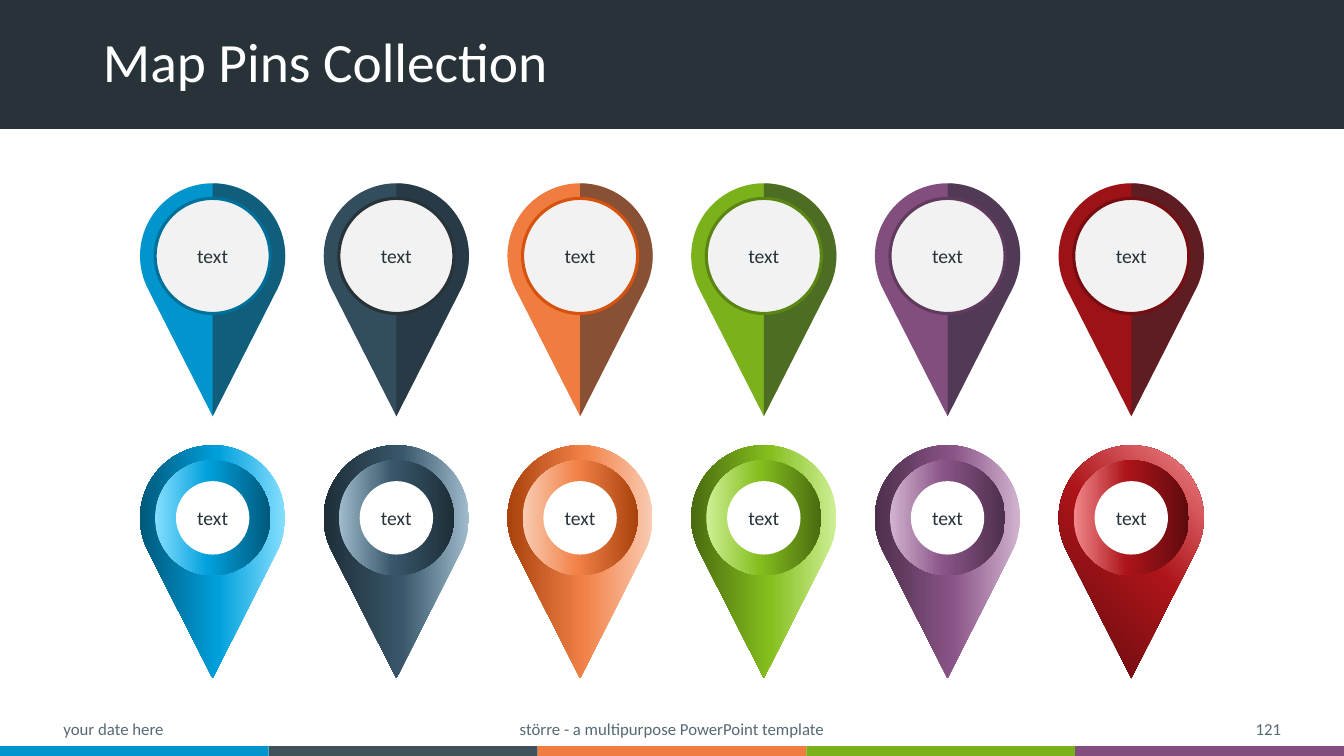
from math import asin, cos, degrees, pi, sin

from lxml.etree import SubElement
from pptx import Presentation
from pptx.dml.color import RGBColor
from pptx.enum.shapes import MSO_SHAPE
from pptx.enum.text import MSO_ANCHOR, MSO_AUTO_SIZE, PP_ALIGN
from pptx.oxml import parse_xml
from pptx.oxml.ns import nsdecls, qn
from pptx.util import Cm, Pt

FONT = "Calibri"
COLORS = {
    "dark": "273339", "white": "FFFFFF", "muted": "576973", "slate": "40515A",
    "disc": "F2F2F2", "shade": "20282D",
    "blue": "0095CD", "navy": "324D5E", "orange": "F17C3F",
    "green": "7BB21B", "purple": "814E7E", "red": "9D1217",
}
RIMS = {
    "blue": "00709A", "navy": "273339", "orange": "D5530F",
    "green": "5C8614", "purple": "613B5E", "red": "760D11",
}
# Light, middle and deep tone of each glossy pin
TONES = {
    "blue": ("85DEFF", "00A0DC", "00597B"),
    "navy": ("9FBBCC", "38576A", "1E2E38"),
    "orange": ("F9CBB2", "F28349", "AA420C"),
    "green": ("CEEF95", "84BF1D", "4A6B10"),
    "purple": ("D1B3D0", "8A5487", "4D2F4C"),
    "red": ("F1878B", "AC1419", "5E0B0E"),
}
FLOW_RIGHT = '<a:lin ang="0" scaled="0"/>'
FLOW_LEFT = '<a:lin ang="10800000" scaled="0"/>'
FLOW_CORNER = '<a:path path="circle"><a:fillToRect l="100000" b="100000"/></a:path>'

# Slide and pin measures in cm
SLIDE_W, SLIDE_H = 33.87, 19.05
PIN_R, PIN_H, PITCH = 1.83, 5.87, 4.63
RING_D, HOLE_D = 2.9, 1.85


def rgb(value):
    return RGBColor.from_string(value)


def paint(sp, fill=None, line=None):
    sp.shadow.inherit = False
    if fill:
        sp.fill.solid()
        sp.fill.fore_color.rgb = rgb(fill)
    if line:
        sp.line.color.rgb = rgb(line)
        sp.line.width = Pt(2.25)
    else:
        sp.line.fill.background()
    return sp


def paint_gradient(sp, tones, flow):
    paint(sp)
    stops = "".join(
        f'<a:gs pos="{pos}"><a:srgbClr val="{tone}"/></a:gs>'
        for pos, tone in zip((0, 46000, 100000), tones))
    xml = f'<a:gradFill {nsdecls("a")}><a:gsLst>{stops}</a:gsLst>{flow}</a:gradFill>'
    sp._element.spPr.insert(2, parse_xml(xml))  # right after the geometry


def write(sp, text, size, color, align):
    tf = sp.text_frame
    tf.vertical_anchor = MSO_ANCHOR.MIDDLE
    tf.auto_size = MSO_AUTO_SIZE.NONE
    tf.word_wrap = True
    p = tf.paragraphs[0]
    p.alignment = align
    r = p.add_run()
    r.text = text
    r.font.name, r.font.size = FONT, Pt(size)
    r.font.color.rgb = rgb(COLORS[color])
    return p


def disc(shapes, cx, cy, d):
    return shapes.add_shape(MSO_SHAPE.OVAL, Cm(cx - d / 2), Cm(cy - d / 2), Cm(d), Cm(d))


def label(sp):
    tf = sp.text_frame
    tf.margin_left = tf.margin_right = tf.margin_top = tf.margin_bottom = 0
    write(sp, "text", 14, "dark", PP_ALIGN.CENTER)


def pin_outline(shapes, cx, top, half=False):
    """Round head with tangents to the tip; half keeps the right side."""
    tangent = asin(PIN_R / (PIN_H - PIN_R))
    dx, y = PIN_R * cos(tangent), top + PIN_R + PIN_R * sin(tangent)
    right = [(cx + PIN_R, top), (cx + dx, y), (cx, top + PIN_H)]
    left = [(cx, top)] if half else [(cx - dx, y), (cx - PIN_R, top)]
    points = [(Cm(px), Cm(py)) for px, py in left + right]
    builder = shapes.build_freeform(*points[0])
    builder.add_line_segments(points[1:], close=True)
    sp = builder.convert_to_shape()

    # Swap the corners of the head for one arc
    start = 1.5 * pi if half else pi - tangent
    sweep = 2 * pi + tangent - start
    outline = next(sp._element.iter(qn("a:path")))
    corners = outline.findall(qn("a:lnTo"))[:-1]
    radius = str(int(Cm(PIN_R)))
    arc = outline.makeelement(qn("a:arcTo"), {
        "wR": radius, "hR": radius,
        "stAng": str(round(degrees(start) * 60000)),
        "swAng": str(round(degrees(sweep) * 60000))})
    outline.insert(1, arc)
    for corner in corners:
        outline.remove(corner)
    return sp


def flat_pin(s, cx, top, name):
    shapes = s.shapes.add_group_shape().shapes
    paint(pin_outline(shapes, cx, top), COLORS[name])
    shade = paint(pin_outline(shapes, cx, top, half=True), COLORS["shade"])
    clr = shade._element.spPr.find(qn("a:solidFill"))[0]
    SubElement(clr, qn("a:alpha"), val="50000")
    label(paint(disc(shapes, cx, top + PIN_R, RING_D), COLORS["disc"], RIMS[name]))


def glossy_pin(s, cx, top, name):
    shapes = s.shapes.add_group_shape().shapes
    flow = FLOW_CORNER if name == "red" else FLOW_LEFT
    paint_gradient(pin_outline(shapes, cx, top), TONES[name], flow)
    paint_gradient(disc(shapes, cx, top + PIN_R, RING_D), TONES[name], FLOW_RIGHT)
    label(paint(disc(shapes, cx, top + PIN_R, HOLE_D), COLORS["white"]))


def pin_row(s, left, top, draw_pin):
    for i, name in enumerate(TONES):
        draw_pin(s, left + PIN_R + i * PITCH, top, name)


def header(s, height):
    band = s.shapes.add_shape(MSO_SHAPE.RECTANGLE, 0, 0, Cm(SLIDE_W), Cm(height))
    paint(band, COLORS["dark"])
    title = s.shapes.title
    s.shapes._spTree.append(title._element)  # bring above the band
    title.left, title.top, title.width, title.height = Cm(2.34), Cm(0.69), Cm(29.21), Cm(1.88)
    p = write(title, "Map Pins Collection", 39.6, "white", PP_ALIGN.LEFT)
    p.line_spacing = 0.9


def footer(s, top):
    # Colour strip along the bottom edge
    names = ("blue", "slate", "orange", "green", "purple")
    w, strip_top = SLIDE_W / len(names), top + 0.84
    for i, name in enumerate(names):
        sp = s.shapes.add_shape(MSO_SHAPE.RECTANGLE, Cm(i * w), Cm(strip_top),
                                Cm(w), Cm(SLIDE_H - strip_top))
        paint(sp, COLORS[name])
    # Date, template line and slide number
    for text, left, width, align in (
            ("your date here", 1.35, 7.62, PP_ALIGN.LEFT),
            ("större - a multipurpose PowerPoint template", 11.22, 11.43, PP_ALIGN.CENTER),
            ("121", 24.92, 7.62, PP_ALIGN.RIGHT)):
        sp = s.shapes.add_textbox(Cm(left), Cm(top), Cm(width), Cm(0.79))
        write(sp, text, 12, "muted", align)


def main():
    prs = Presentation()
    prs.slide_width, prs.slide_height = Cm(SLIDE_W), Cm(SLIDE_H)
    s = prs.slides.add_slide(prs.slide_layouts[5])
    header(s, 3.25)
    footer(s, 17.96)
    pin_row(s, 3.53, 11.22, glossy_pin)
    pin_row(s, 3.53, 4.62, flat_pin)
    prs.save("out.pptx")


if __name__ == "__main__":
    main()
